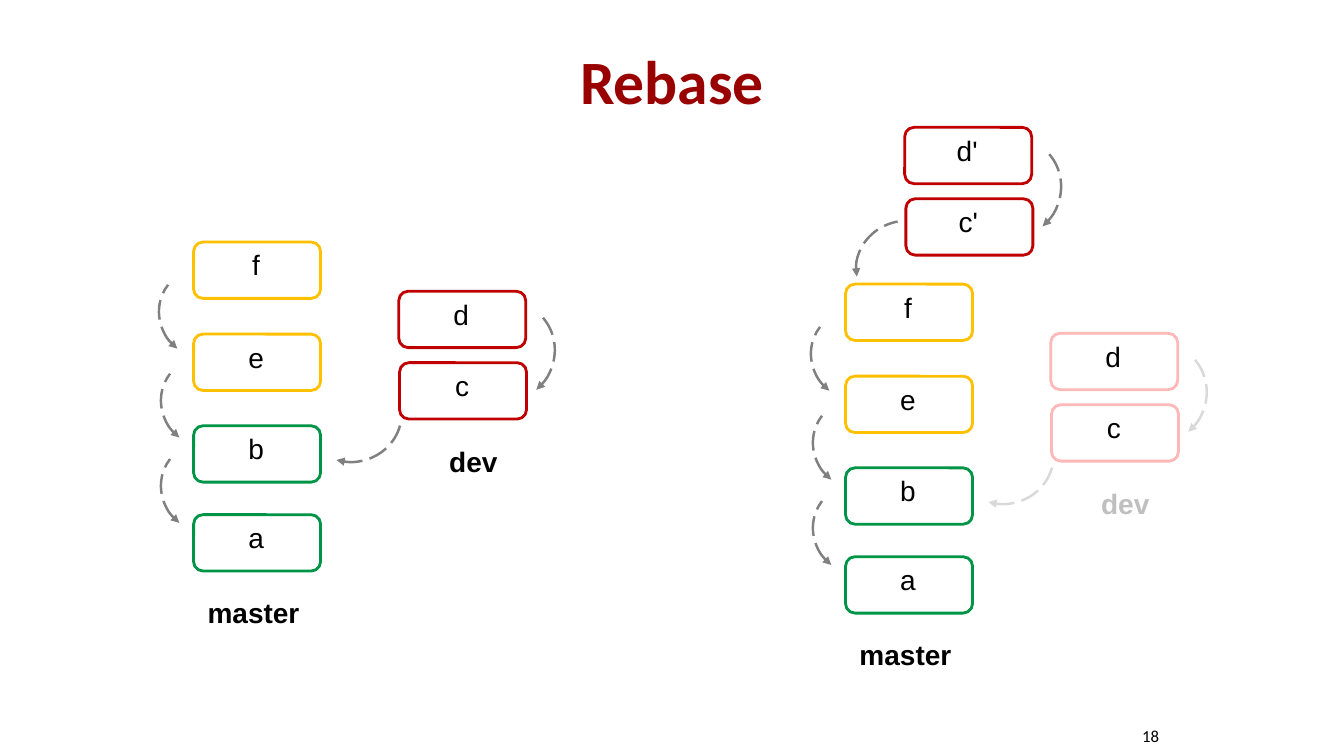
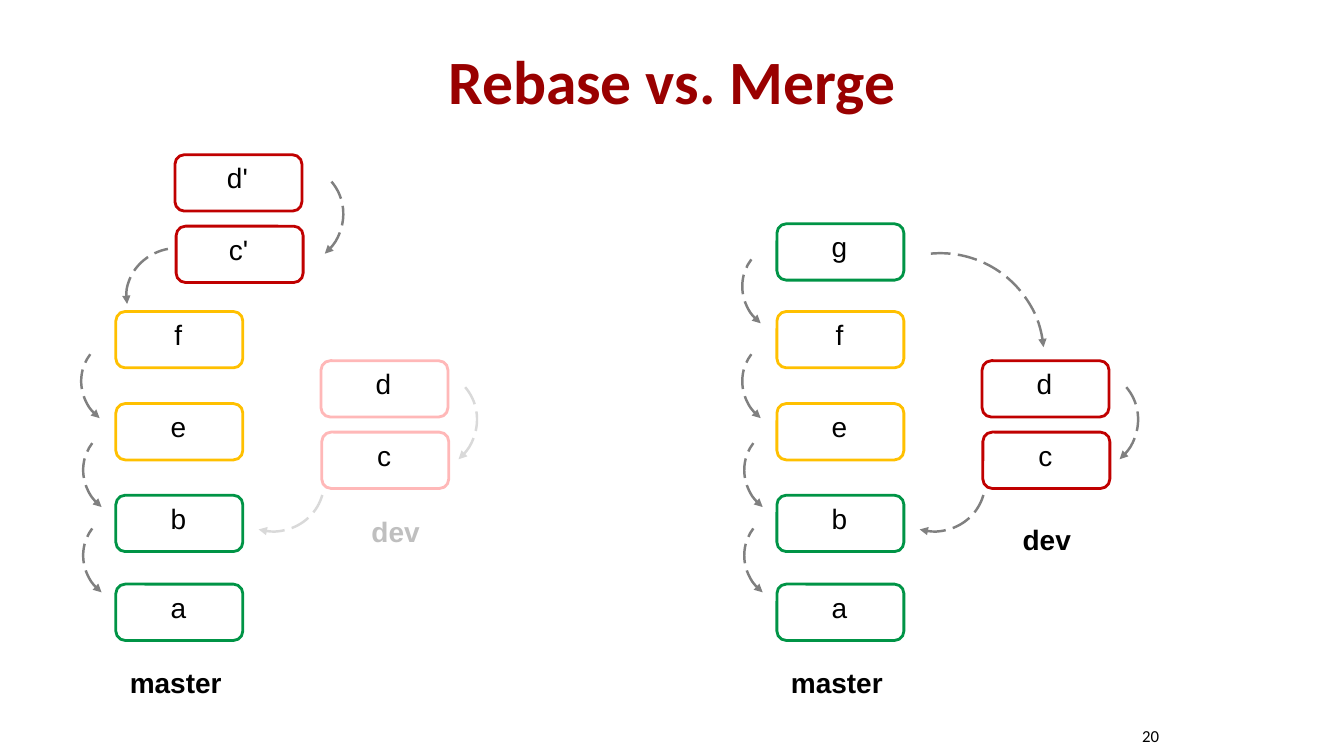
from dataclasses import dataclass

from lxml.etree import SubElement
from pptx import Presentation
from pptx.dml.color import RGBColor
from pptx.enum.dml import MSO_LINE
from pptx.enum.shapes import MSO_SHAPE
from pptx.enum.text import MSO_ANCHOR, MSO_AUTO_SIZE, PP_ALIGN
from pptx.oxml.ns import qn
from pptx.util import Cm, Pt


@dataclass(frozen=True)
class Theme:
    white: str = "FFFFFF"
    ink: str = "000000"
    heading: str = "990000"
    green: str = "009446"
    amber: str = "FFC000"
    red: str = "C00000"
    pale_red: str = "FFB8B8"
    arrow: str = "808080"
    pale_arrow: str = "D9D9D9"
    pale_ink: str = "BFBFBF"
    heading_font: str = "Calibri"
    body_font: str = "Arial"
    heading_size: int = 44
    body_size: int = 20
    number_size: int = 12
    outline: float = 2
    arrow_width: float = 1.75


THEME = Theme()

COMMIT_SIZE = (3.2, 1.42)
LABEL_SIZE = (5.82, 1.12)
TITLE_FRAME = (5.51, 0.43, 22.86, 3.18)
NUMBER_FRAME = (23.29, 18.03, 5.92, 1.02)

COMMITS = {
    "g": (0, -2.21, THEME.green),
    "f": (0, 0, THEME.amber),
    "e": (0, 2.32, THEME.amber),
    "b": (0, 4.63, THEME.green),
    "a": (0, 6.87, THEME.green),
    "d": (5.17, 1.24, THEME.red),
    "c": (5.19, 3.04, THEME.red),
    "d'": (1.49, -3.95, THEME.red),
    "c'": (1.52, -2.15, THEME.red),
}

STEP_DOWN = (2.34, 2.26, 217.7, "headEnd")
STEP_RIGHT = (2.54, 2.62, 49.4, "tailEnd")
PARENT_ARROWS = {
    ("g", "f"): (-0.89, -1.73, *STEP_DOWN),
    ("f", "e"): (-0.89, 0.66, *STEP_DOWN),
    ("e", "b"): (-0.84, 2.9, *STEP_DOWN),
    ("b", "a"): (-0.84, 5.05, *STEP_DOWN),
    ("d", "c"): (6.54, 1.45, *STEP_RIGHT),
    ("d'", "c'"): (2.87, -3.73, *STEP_RIGHT),
    ("c", "b"): (2.67, 2.96, 2.54, 2.62, 105.7, "tailEnd"),
    ("c'", "f"): (0.36, -1.7, 2.34, 2.54, 259.2, "headEnd"),
    ("g", "d"): (1.5, -1.47, 5.23, 5.21, 354.8, "tailEnd"),
}

BASE = ("f", "e", "b", "a", "d", "c")
REBASED = ("d'", "c'", *BASE)
MERGED = ("g", *BASE)


def set_all(target, values):
    for name, value in values.items():
        setattr(target, name, value)


def frame(left, top, width, height):
    return [Cm(value) for value in (left, top, width, height)]


def write(box, text, size, font, color, align=PP_ALIGN.CENTER, bold=False, **settings):
    set_all(box.text_frame, {"word_wrap": True, **settings})
    para = box.text_frame.paragraphs[0]
    para.alignment = align
    span = para.add_run()
    span.text = text
    set_all(span.font, {"size": Pt(size), "name": font, "bold": bold})
    span.font.color.rgb = RGBColor.from_string(color)


def stroke(box, color, width):
    box.shadow.inherit = False
    box.line.width = Pt(width)
    box.line.color.rgb = RGBColor.from_string(color)


def add_commit(page, name, left, top, color):
    box = page.shapes.add_shape(
        MSO_SHAPE.ROUNDED_RECTANGLE, *frame(left, top, *COMMIT_SIZE))
    box.fill.solid()
    box.fill.fore_color.rgb = RGBColor.from_string(THEME.white)
    stroke(box, color, THEME.outline)
    write(box, name, THEME.body_size, THEME.body_font, THEME.ink,
          vertical_anchor=MSO_ANCHOR.TOP, margin_left=0,
          margin_right=Cm(0.05), margin_top=Cm(0.08), margin_bottom=0)


def add_arrow(page, left, top, width, height, angle, arrow_end, color):
    arc = page.shapes.add_shape(MSO_SHAPE.ARC, *frame(left, top, width, height))
    arc.rotation = angle
    arc.fill.background()
    stroke(arc, color, THEME.arrow_width)
    arc.line.dash_style = MSO_LINE.LONG_DASH
    outline = arc.element.spPr.find(qn("a:ln"))
    SubElement(outline, qn(f"a:{arrow_end}"), type="triangle")


def add_label(page, text, left, top, color=THEME.ink):
    box = page.shapes.add_textbox(*frame(left, top, *LABEL_SIZE))
    write(box, text, THEME.body_size, THEME.body_font, color, bold=True,
          auto_size=MSO_AUTO_SIZE.SHAPE_TO_FIT_TEXT)


def add_history(page, left, top, names, old_dev=False,
                dev_at=(4.14, 4.98), arrow_shift=0):
    faded = {"c", "d"} if old_dev else set()
    for name in names:
        x, y, color = COMMITS[name]
        add_commit(page, name, left + x, top + y,
                   THEME.pale_red if name in faded else color)
    for (child, parent), (x, y, *form) in PARENT_ARROWS.items():
        if child in names and parent in names:
            shift = arrow_shift if child == "d'" else 0
            add_arrow(page, left + x + shift, top + y, *form,
                      THEME.pale_arrow if child in faded else THEME.arrow)
    add_label(page, "master", left - 1.4, top + 8.79)
    add_label(page, "dev", left + dev_at[0], top + dev_at[1],
              THEME.pale_ink if old_dev else THEME.ink)


def add_page(deck, title, number):
    page = deck.slides.add_slide(deck.slide_layouts.get_by_name("Title Only"))
    heading = page.shapes.title
    set_all(heading, dict(zip(("left", "top", "width", "height"),
                              frame(*TITLE_FRAME))))
    write(heading, title, THEME.heading_size, THEME.heading_font, THEME.heading,
          bold=True, vertical_anchor=MSO_ANCHOR.MIDDLE,
          margin_left=0, margin_right=0)
    box = page.shapes.add_textbox(*frame(*NUMBER_FRAME))
    write(box, str(number), THEME.number_size, THEME.heading_font, THEME.ink,
          PP_ALIGN.RIGHT, vertical_anchor=MSO_ANCHOR.MIDDLE,
          margin_left=0, margin_right=0, margin_top=0, margin_bottom=0)
    return page


def main():
    deck = Presentation()
    set_all(deck, {"slide_width": Cm(33.87), "slide_height": Cm(19.05)})

    page = add_page(deck, "Rebase", 18)
    add_history(page, 4.88, 6.1, BASE)
    add_history(page, 21.31, 7.16, REBASED, old_dev=True)

    page = add_page(deck, "Rebase vs. Merge", 20)
    add_history(page, 2.92, 7.85, REBASED, old_dev=True, arrow_shift=0.3)
    add_history(page, 19.58, 7.85, MERGED, dev_at=(3.89, 5.18))

    deck.save("out.pptx")


if __name__ == "__main__":
    main()
